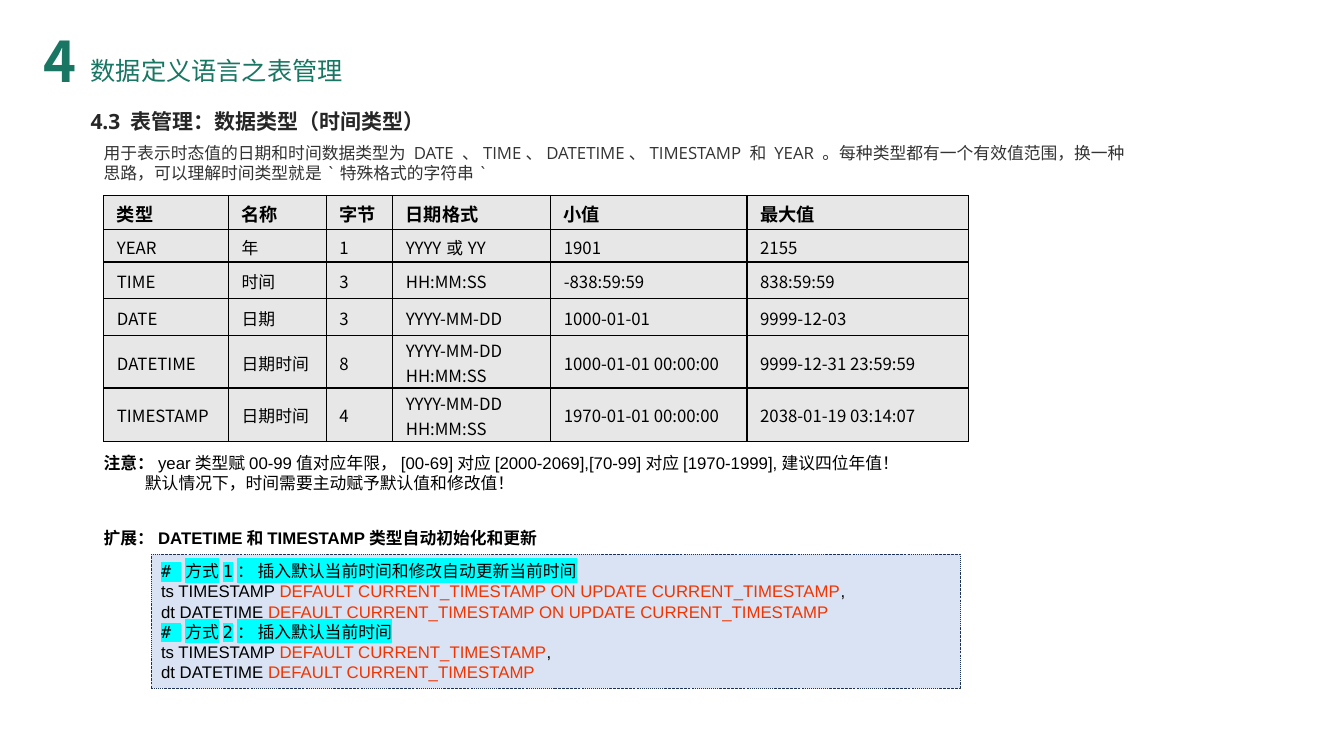
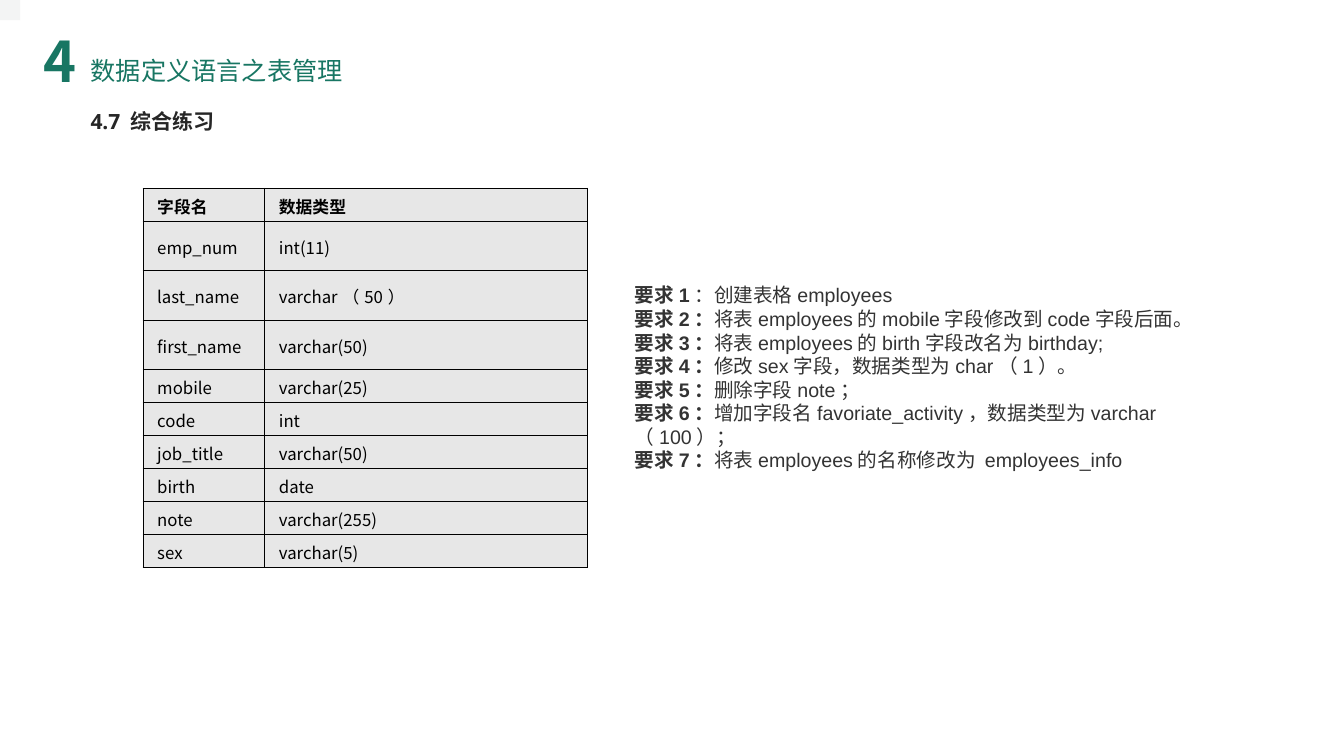
from lxml import etree
from pptx import Presentation
from pptx import util as u
from pptx.dml.color import RGBColor
from pptx.enum import dml, shapes, text
from pptx.oxml.ns import qn

# The slide is a grid of 133.3 columns by 75 rows; one step is a tenth of an inch.
STEP = u.Inches(0.1)
COLUMNS, ROWS = 133.33, 75
HEADER_BOX = (3.3, 2.1, 50, 11.7)

GREEN, INK, BODY, BLACK = "187663", "262626", "333333", "000000"
RED, CYAN, CODE_FILL, CODE_LINE = "F13400", "00FFFF", "DAE3F3", "1E3256"
CELL_FILL, CORNER_FILL = "E7E7E7", "F3F4F4"
CJK, SANS, ARIAL, MONO = "Noto Sans CJK SC", "Open Sans", "Arial", "DejaVu Sans Mono"

CHAPTER, CHAPTER_TITLE = "4", "数据定义语言之表管理"

TIME_ROWS = [
    ["类型", "名称", "字节", "日期格式", "小值", "最大值"],
    ["YEAR", "年", "1", "YYYY或YY", "1901", "2155"],
    ["TIME", "时间", "3", "HH:MM:SS", "-838:59:59", "838:59:59"],
    ["DATE", "日期", "3", "YYYY-MM-DD", "1000-01-01", "9999-12-03"],
    ["DATETIME", "日期时间", "8", "YYYY-MM-DD HH:MM:SS",
     "1000-01-01 00:00:00", "9999-12-31 23:59:59"],
    ["TIMESTAMP", "日期时间", "4", "YYYY-MM-DD HH:MM:SS",
     "1970-01-01 00:00:00", "2038-01-19 03:14:07"],
]
FIELD_ROWS = [
    ["字段名", "数据类型"],
    ["emp_num", "int(11)"],
    ["last_name", "varchar（50）"],
    ["first_name", "varchar(50)"],
    ["mobile", "varchar(25)"],
    ["code", "int"],
    ["job_title", "varchar(50)"],
    ["birth", "date"],
    ["note", "varchar(255)"],
    ["sex", "varchar(5)"],
]
METHODS = [
    ("# 方式1： 插入默认当前时间和修改自动更新当前时间",
     "DEFAULT CURRENT_TIMESTAMP ON UPDATE CURRENT_TIMESTAMP"),
    ("# 方式2： 插入默认当前时间", "DEFAULT CURRENT_TIMESTAMP"),
]
REQUIREMENTS = [
    ("要求1", "：创建表格employees"),
    ("要求2：", "将表employees的mobile字段修改到code字段后面。"),
    ("要求3：", "将表employees的birth字段改名为birthday;"),
    ("要求4：", "修改sex字段，数据类型为char（1）。"),
    ("要求5：", "删除字段note；"),
    ("要求6：", "增加字段名favoriate_activity，数据类型为varchar（100）；"),
    ("要求7：", "将表employees的名称修改为 employees_info"),
]


def grid(*steps):
    return [u.Emu(round(step * STEP)) for step in steps]


def inside(box, left, top, width, height):
    """Move a box given relative to another box onto the slide."""
    return box[0] + left, box[1] + top, width, height


def color(value):
    return RGBColor.from_string(value)


def set_all(target, values):
    for name, value in values.items():
        setattr(target, name, value)


def add_fill(parent, value):
    fill = etree.SubElement(parent, qn("a:solidFill"))
    etree.SubElement(fill, qn("a:srgbClr"), val=value)


def add_span(para, words, size, font, ink, bold=False, highlight=None):
    span = para.add_run()
    span.text = words
    set_all(span.font, {"size": u.Pt(size), "bold": bold, "name": font})
    span.font.color.rgb = color(ink)
    latin = span.font._element.find(qn("a:latin"))
    east_asian = etree.Element(qn("a:ea"), typeface=CJK)
    latin.addnext(east_asian)
    if highlight:
        mark = etree.Element(qn("a:highlight"))
        etree.SubElement(mark, qn("a:srgbClr"), val=highlight)
        latin.addprevious(mark)


def write(frame, paras, style, anchor=text.MSO_ANCHOR.TOP, wrap=True):
    """Fill a frame; each paragraph is a list of (words, changes to the style)."""
    set_all(frame, {"word_wrap": wrap, "auto_size": text.MSO_AUTO_SIZE.NONE,
                    "vertical_anchor": anchor})
    for index, spans in enumerate(paras):
        para = frame.add_paragraph() if index else frame.paragraphs[0]
        set_all(para, {"alignment": text.PP_ALIGN.LEFT,
                       "line_spacing": u.Pt(style["size"] * 1.2),
                       "space_before": u.Pt(0)})
        for words, changes in spans:
            add_span(para, words, **{**style, **changes})


def add_text(page, box, paras, style, **options):
    frame = page.shapes.add_textbox(*grid(*box)).text_frame
    write(frame, paras, style, **options)
    return frame


def add_rectangle(page, box, fill):
    shape = page.shapes.add_shape(shapes.MSO_SHAPE.RECTANGLE, *grid(*box))
    shape.shadow.inherit = False
    shape.fill.solid()
    shape.fill.fore_color.rgb = color(fill)
    shape.line.fill.background()
    return shape


def add_header(page, box, section):
    """Chapter number, chapter title and section heading."""
    title = page.shapes.title
    places = grid(*inside(box, 4.7, 2.9, 28.2, 4))
    set_all(title, dict(zip(("left", "top", "width", "height"), places)))
    write(title.text_frame, [[(CHAPTER_TITLE, {})]],
          {"size": 18, "font": CJK, "ink": GREEN})
    add_text(page, inside(box, 0, 0, 5.5, 7.7), [[(CHAPTER, {})]],
             {"size": 40, "font": CJK, "ink": GREEN, "bold": True}, wrap=False)
    add_text(page, inside(box, 4.7, 8.2, 45, 3.5), [[(section, {})]],
             {"size": 15, "font": SANS, "ink": INK, "bold": True})


def format_cell(cell, words, size, bold, margin):
    set_all(cell, {"vertical_anchor": text.MSO_ANCHOR.MIDDLE,
                   "margin_left": margin, "margin_right": margin,
                   "margin_top": u.Inches(0.02), "margin_bottom": 0})
    cell.fill.solid()
    cell.fill.fore_color.rgb = color(CELL_FILL)
    add_span(cell.text_frame.paragraphs[0], words, size, CJK, BLACK, bold)
    properties = cell._tc.get_or_add_tcPr()
    for index, side in enumerate("LRTB"):
        border = etree.Element(qn("a:ln" + side), w=str(u.Pt(1)))
        add_fill(border, BLACK)
        properties.insert(index, border)


def add_grid_table(page, box, rows, widths, heights, head_size, margin):
    """Draw a table whose widths and heights are weights within the box."""
    left, top, width, height = grid(*box)
    frame = page.shapes.add_table(len(rows), len(widths), left, top, width, height)
    table = frame.table
    set_all(table, {"first_row": False, "horz_banding": False})
    for column, weight in zip(table.columns, widths):
        column.width = u.Emu(round(width * weight / sum(widths)))
    for row, weight in zip(table.rows, heights):
        row.height = u.Emu(round(height * weight / sum(heights)))
    for r, values in enumerate(rows):
        for c, words in enumerate(values):
            format_cell(table.cell(r, c), words, 12 if r else head_size,
                        r == 0, u.Inches(margin))


def add_code(page, box):
    panel = add_rectangle(page, box, CODE_FILL)
    panel.line.color.rgb = color(CODE_LINE)
    set_all(panel.line, {"width": u.Pt(0.25),
                         "dash_style": dml.MSO_LINE.DASH_DOT})
    paras = []
    for remark, rule in METHODS:
        paras += [
            [(remark, {"font": MONO, "highlight": CYAN})],
            [("ts TIMESTAMP ", {}), (rule, {"ink": RED}), (",", {})],
            [("dt DATETIME ", {}), (rule, {"ink": RED})],
        ]
    write(panel.text_frame, paras, {"size": 12, "font": ARIAL, "ink": BLACK},
          anchor=text.MSO_ANCHOR.MIDDLE)


def add_notes(page, box):
    """Remarks on the time types, then the extension with its code."""
    style = {"size": 12, "font": ARIAL, "ink": BLACK}
    frame = add_text(page, inside(box, 0, 0, box[2], 5), [
        [("注意：", {"bold": True}),
         ("year类型赋00-99值对应年限，[00-69]对应[2000-2069],"
          "[70-99]对应[1970-1999],建议四位年值！", {})],
        [("默认情况下，时间需要主动赋予默认值和修改值！", {})],
    ], style)
    indent = frame.paragraphs[1]._p.get_or_add_pPr()
    indent.set("marL", str(u.Inches(0.41)))
    add_text(page, inside(box, 0, 7.5, box[2], 3),
             [[("扩展：DATETIME和TIMESTAMP类型自动初始化和更新", {"bold": True})]], style)
    add_code(page, inside(box, 5.7, 10.6, 80.3, 13.3))


def new_page(deck, section):
    page = deck.slides.add_slide(deck.slide_layouts[5])
    add_header(page, HEADER_BOX, section)
    return page


def build_time_types(deck):
    page = new_page(deck, "4.3 表管理：数据类型（时间类型）")
    add_text(page, (9.3, 13.7, 104.5, 5), [[(
        "用于表示时态值的日期和时间数据类型为 DATE 、TIME、DATETIME、TIMESTAMP 和 YEAR 。"
        "每种类型都有一个有效值范围，换一种思路，可以理解时间类型就是`特殊格式的字符串`", {})]],
        {"size": 12, "font": SANS, "ink": BODY})
    add_grid_table(page, (10.3, 19.4, 85.8, 24.4), TIME_ROWS,
                   [12.4, 9.7, 6.6, 15.7, 19.5, 22],
                   [3.4, 3.2, 3.6, 3.7, 5.2, 5.3], 13, 0.13)
    add_notes(page, (9.3, 44.4, 104.5, 23.9))


def build_exercise(deck):
    page = new_page(deck, "4.7 综合练习")
    add_rectangle(page, (0, 0, 2, 2), CORNER_FILL)
    add_grid_table(page, (14.2, 18.7, 44.1, 37.6), FIELD_ROWS,
                   [12.1, 32.1], [2] + [3] * 3 + [2] * 6, 12, 0.14)
    add_text(page, (62, 28.7, 59.7, 17.5),
             [[(label, {"bold": True}), (task, {})] for label, task in REQUIREMENTS],
             {"size": 14, "font": ARIAL, "ink": BODY},
             anchor=text.MSO_ANCHOR.MIDDLE)


def main():
    deck = Presentation()
    deck.slide_width, deck.slide_height = grid(COLUMNS, ROWS)
    build_time_types(deck)
    build_exercise(deck)
    deck.save("out.pptx")


if __name__ == "__main__":
    main()
